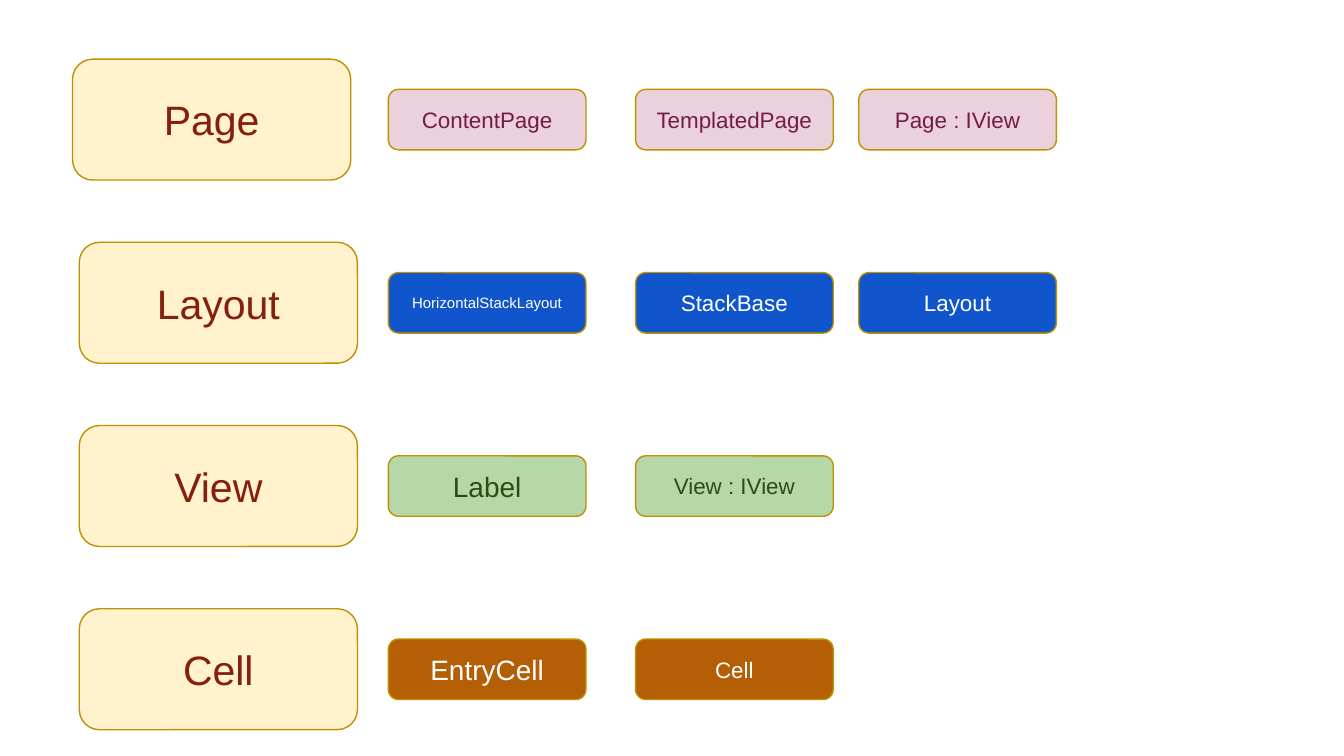
from pptx import Presentation
from pptx.dml.color import RGBColor
from pptx.enum.shapes import MSO_SHAPE
from pptx.enum.text import MSO_ANCHOR, PP_ALIGN
from pptx.util import Inches, Pt

# group name, left edge, fill and text colour of its members, (member, text size)
ROWS = [
    ("Page", 0.54, "EAD1DC", "741B47",
     [("ContentPage", 12), ("TemplatedPage", 12), ("Page : IView", 12)]),
    ("Layout", 0.59, "1155CC", "FFFFFF",
     [("HorizontalStackLayout", 8), ("StackBase", 12), ("Layout", 12)]),
    ("View", 0.59, "B6D7A8", "274E13",
     [("Label", 15), ("View : IView", 12)]),
    ("Cell", 0.59, "B45F06", "FFFFFF",
     [("EntryCell", 15), ("Cell", 12)]),
]
COLUMNS = [2.89, 4.73, 6.39]
FIRST_MID, LAST_MID = 0.89, 4.98
GROUP_SIZE = (2.07, 0.9)
MEMBER_SIZE = (1.47, 0.45)
GROUP_FILL, GROUP_INK, EDGE = "FFF2CC", "85200C", "BF9000"
FRAME = {
    "word_wrap": True,
    "vertical_anchor": MSO_ANCHOR.MIDDLE,
    "margin_left": Inches(0.1),
    "margin_right": Inches(0.1),
    "margin_top": Inches(0.1),
    "margin_bottom": Inches(0.1),
}


def paint(target, color):
    target.rgb = RGBColor.from_string(color)


def add_box(slide, text, left, mid, box_size, fill, ink, points):
    """Add a rounded box centred vertically on mid."""
    width, height = box_size
    box = slide.shapes.add_shape(
        MSO_SHAPE.ROUNDED_RECTANGLE, Inches(left), Inches(mid - height / 2),
        Inches(width), Inches(height))
    box.shadow.inherit = False
    box.fill.solid()
    paint(box.fill.fore_color, fill)
    paint(box.line.color, EDGE)
    box.line.width = Pt(0.75)
    frame = box.text_frame
    for name, value in FRAME.items():
        setattr(frame, name, value)
    line = frame.paragraphs[0]
    line.alignment = PP_ALIGN.CENTER
    run = line.add_run()
    run.text = text
    run.font.name = "Arial"
    run.font.size = Pt(points)
    paint(run.font.color, ink)


def main():
    deck = Presentation()
    deck.slide_width = Inches(10)
    deck.slide_height = deck.slide_width * 9 // 16
    slide = deck.slides.add_slide(deck.slide_layouts[6])
    step = (LAST_MID - FIRST_MID) / (len(ROWS) - 1)
    for index, (group, left, fill, ink, members) in enumerate(ROWS):
        mid = FIRST_MID + index * step
        add_box(slide, group, left, mid, GROUP_SIZE, GROUP_FILL, GROUP_INK, 22)
        for column, (member, points) in zip(COLUMNS, members):
            add_box(slide, member, column, mid, MEMBER_SIZE, fill, ink, points)
    deck.save("out.pptx")


if __name__ == "__main__":
    main()
